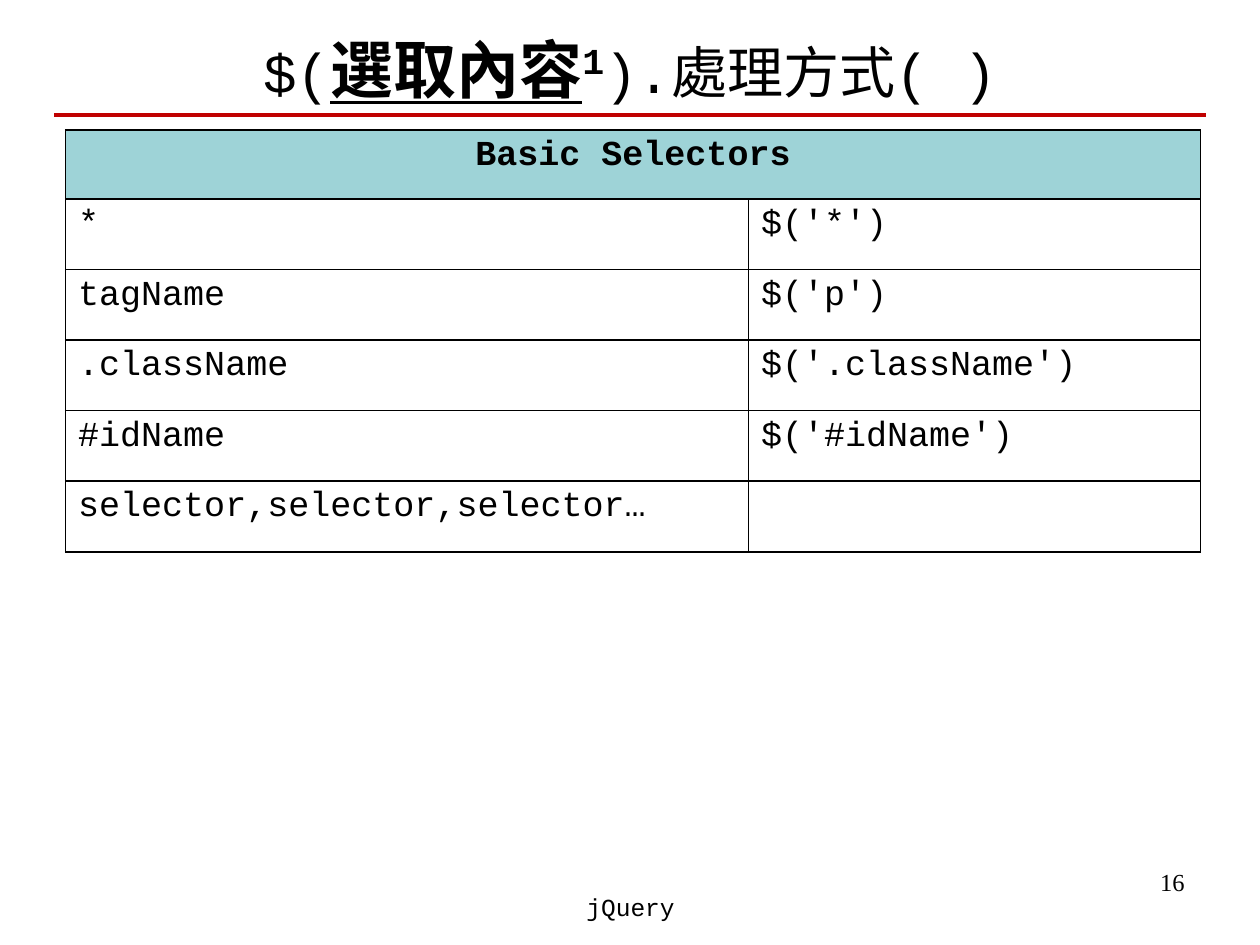
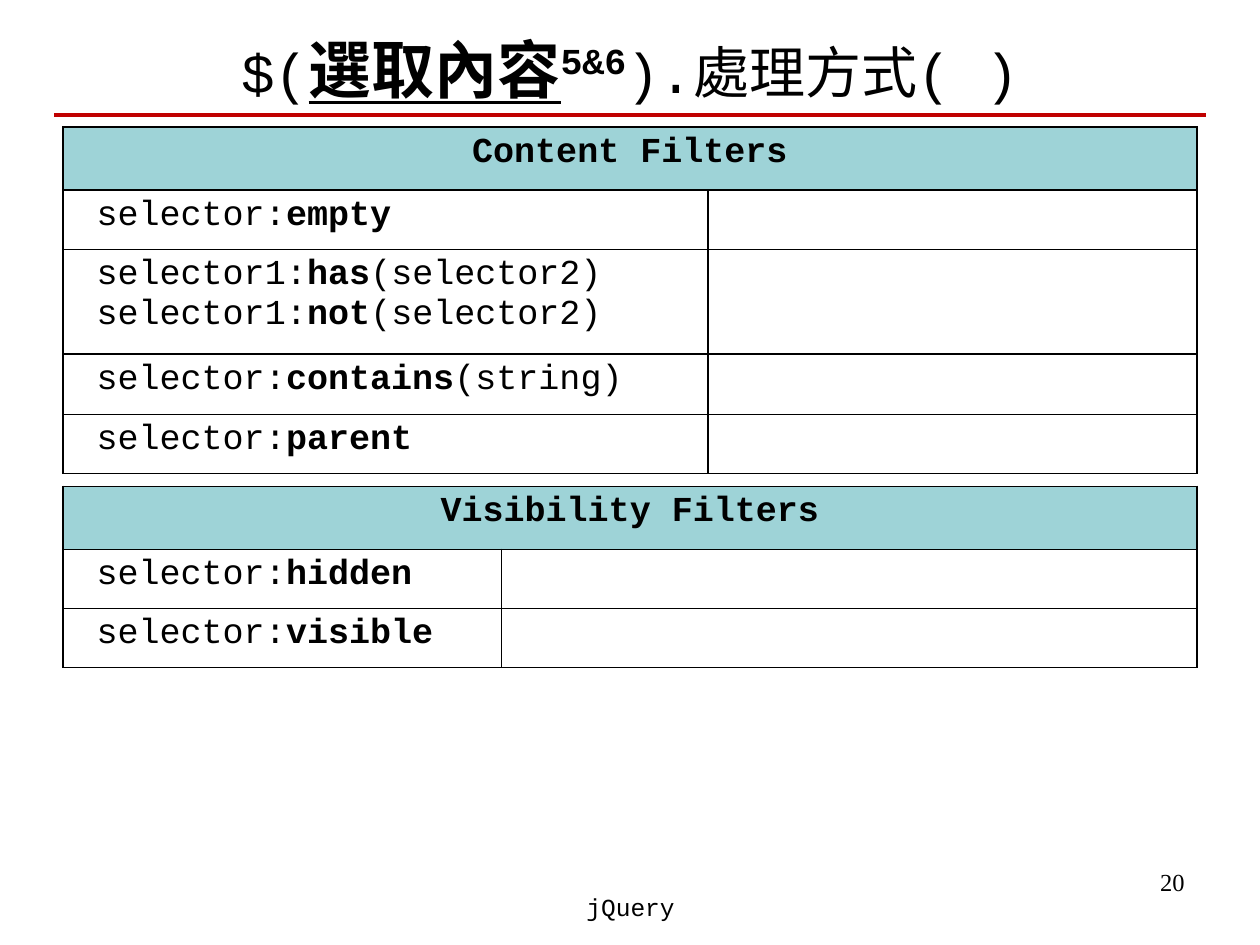
from dataclasses import dataclass

from lxml import etree
from pptx import Presentation
from pptx.dml.color import RGBColor
from pptx.enum import shapes, text
from pptx.oxml import ns
from pptx.util import Inches, Pt

BLACK = RGBColor(0x00, 0x00, 0x00)
WHITE = RGBColor(0xFF, 0xFF, 0xFF)
RULE_RED = RGBColor(0xC0, 0x00, 0x00)
HEADER_TEAL = RGBColor(0x9E, 0xD3, 0xD7)
CODE_FONT = "Courier New"
NUMBER_FONT = "Times New Roman"
TITLE_ONLY = 5

# A line of code alternates plain and bold pieces; a cell holds lines.
Line = tuple[str, ...]
Cell = list[Line]


@dataclass
class SelectorTable:
    heading: str
    left: float
    top: float
    columns: tuple[float, float]
    row_heights: list[float]
    rows: list[tuple[Cell, Cell]]


@dataclass
class SelectorSlide:
    number: str
    superscript: str
    tables: list[SelectorTable]


def code(*pieces: str) -> Cell:
    """A cell with one line of code."""
    return [pieces]


EMPTY: Cell = []

SLIDES = [
    SelectorSlide("16", "1", [
        SelectorTable("Basic Selectors", 0.52, 1.03, (5.42, 3.59), [0.55] + [0.56] * 5, [
            (code("*"), code("$('*')")),
            (code("tagName"), code("$('p')")),
            (code(".className"), code("$('.className')")),
            (code("#idName"), code("$('#idName')")),
            (code("selector,selector,selector…"), EMPTY),
        ]),
    ]),
    SelectorSlide("20", "5&6", [
        SelectorTable("Content Filters", 0.5, 1.01, (5.12, 3.88), [0.5, 0.47, 0.83, 0.48, 0.47], [
            (code(" selector:", "empty"), EMPTY),
            ([(" selector1:", "has", "(selector2)"), (" selector1:", "not", "(selector2)")], EMPTY),
            (code(" selector:", "contains", "(string)"), EMPTY),
            (code(" selector:", "parent"), EMPTY),
        ]),
        SelectorTable("Visibility Filters", 0.5, 3.86, (3.48, 5.52), [0.5, 0.47, 0.47], [
            (code(" selector:", "hidden"), EMPTY),
            (code(" selector:", "visible"), EMPTY),
        ]),
    ]),
]


def add_run(paragraph, content: str, size: float, font: str = CODE_FONT, **formats):
    run = paragraph.add_run()
    run.text = content
    run.font.color.rgb = BLACK
    for name, value in {"name": font, "size": Pt(size), **formats}.items():
        setattr(run.font, name, value)
    return run


def add_title(slide, superscript: str) -> None:
    title = slide.shapes.title
    place = {"left": 0.5, "top": 0.16, "width": 9, "height": 0.76}
    for name, value in place.items():
        setattr(title, name, Inches(value))
    frame = title.text_frame
    frame.auto_size = text.MSO_AUTO_SIZE.NONE
    frame.vertical_anchor = text.MSO_ANCHOR.MIDDLE
    paragraph = frame.paragraphs[0]
    paragraph.alignment = text.PP_ALIGN.CENTER
    add_run(paragraph, "$(", 32)
    add_run(paragraph, "選取內容", 36, bold=True, underline=True)
    raised = add_run(paragraph, superscript, 36, bold=True)
    raised._r.get_or_add_rPr().set("baseline", "30000")
    add_run(paragraph, ").處理方式( )", 32)


def add_rule(slide) -> None:
    rule = slide.shapes.add_connector(
        shapes.MSO_CONNECTOR.STRAIGHT, Inches(0.43), Inches(0.91), Inches(9.57), Inches(0.91))
    rule.line.color.rgb = RULE_RED
    rule.line.width = Pt(2.25)
    etree.SubElement(rule._element.spPr, ns.qn("a:effectLst"))


def add_label(slide, content: str, box: tuple[float, ...], alignment, font: str) -> None:
    frame = slide.shapes.add_textbox(*map(Inches, box)).text_frame
    frame.word_wrap = True
    paragraph = frame.paragraphs[0]
    paragraph.alignment = alignment
    add_run(paragraph, content, 14, font)


def style_cell(cell, fill: RGBColor) -> None:
    """Give the cell a thin black border and a solid fill."""
    properties = cell._tc.get_or_add_tcPr()
    for side in ("lnL", "lnR", "lnT", "lnB"):
        border = etree.SubElement(properties, ns.qn(f"a:{side}"), w=str(Pt(1)))
        solid = etree.SubElement(border, ns.qn("a:solidFill"))
        etree.SubElement(solid, ns.qn("a:srgbClr"), val=str(BLACK))
    cell.fill.solid()
    cell.fill.fore_color.rgb = fill


def write_cell(cell, lines: Cell) -> None:
    frame = cell.text_frame
    for index, line in enumerate(lines):
        paragraph = frame.add_paragraph() if index else frame.paragraphs[0]
        for position, piece in enumerate(line):
            add_run(paragraph, piece, 20, bold=position % 2 == 1)


def add_selector_table(slide, content: SelectorTable) -> None:
    table = slide.shapes.add_table(
        len(content.row_heights), len(content.columns), Inches(content.left), Inches(content.top),
        Inches(sum(content.columns)), Inches(sum(content.row_heights))).table
    table.first_row = table.horz_banding = False
    for column, width in zip(table.columns, content.columns):
        column.width = Inches(width)
    for index, (row, height) in enumerate(zip(table.rows, content.row_heights)):
        row.height = Inches(height)
        for cell in row.cells:
            style_cell(cell, WHITE if index else HEADER_TEAL)
    header = table.cell(0, 0)
    header.merge(table.cell(0, 1))
    paragraph = header.text_frame.paragraphs[0]
    paragraph.alignment = text.PP_ALIGN.CENTER
    add_run(paragraph, content.heading, 20, bold=True)
    for row_index, row_cells in enumerate(content.rows, start=1):
        for column_index, lines in enumerate(row_cells):
            write_cell(table.cell(row_index, column_index), lines)


def add_selector_slide(presentation, content: SelectorSlide) -> None:
    slide = presentation.slides.add_slide(presentation.slide_layouts[TITLE_ONLY])
    add_label(slide, content.number, (7.17, 6.83, 2.33, 0.52), text.PP_ALIGN.RIGHT, NUMBER_FONT)
    add_title(slide, content.superscript)
    add_rule(slide)
    add_label(slide, "jQuery", (3.42, 7.03, 3.17, 0.5), text.PP_ALIGN.CENTER, CODE_FONT)
    for table in content.tables:
        add_selector_table(slide, table)


def main() -> None:
    presentation = Presentation()
    presentation.slide_width = Inches(10)
    presentation.slide_height = Inches(7.5)
    for content in SLIDES:
        add_selector_slide(presentation, content)
    presentation.save("out.pptx")


if __name__ == "__main__":
    main()
